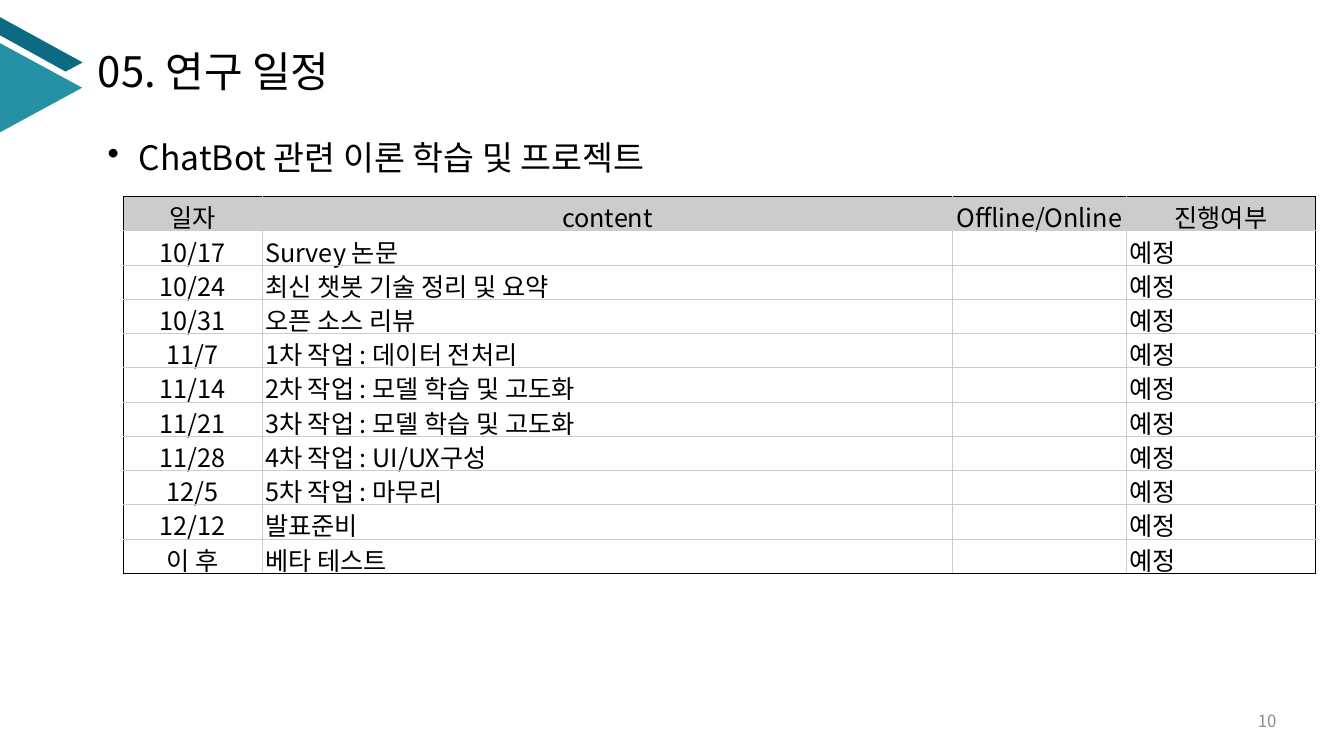
from lxml import etree
from pptx import Presentation
from pptx.dml.color import RGBColor
from pptx.enum.shapes import MSO_SHAPE
from pptx.enum.text import MSO_ANCHOR, PP_ALIGN
from pptx.oxml.ns import qn
from pptx.util import Inches, Pt

TRIANGLE = MSO_SHAPE.ISOSCELES_TRIANGLE
LEFT, CENTER, RIGHT = PP_ALIGN.LEFT, PP_ALIGN.CENTER, PP_ALIGN.RIGHT
TOP, MIDDLE, BOTTOM = MSO_ANCHOR.TOP, MSO_ANCHOR.MIDDLE, MSO_ANCHOR.BOTTOM

FONT = "Noto Sans CJK KR"
BLACK, GRID, PAGE_GRAY = "000000", "CCCCCC", "8C8C8C"
DARK_TEAL, TEAL = "0C6A83", "2691A5"

COLUMN_WIDTHS = [1.38, 6.85, 1.72, 1.88]
ROW_HEIGHT = 0.34
HEADER = ["일자", "content", "Offline/Online", "진행여부"]
STATUS = "예정"
SCHEDULE = [
    ("10/17", "Survey 논문"),
    ("10/24", "최신 챗봇 기술 정리 및 요약"),
    ("10/31", "오픈 소스 리뷰"),
    ("11/7", "1차 작업 : 데이터 전처리"),
    ("11/14", "2차 작업 : 모델 학습 및 고도화"),
    ("11/21", "3차 작업 : 모델 학습 및 고도화"),
    ("11/28", "4차 작업 : UI/UX구성"),
    ("12/5", "5차 작업 : 마무리"),
    ("12/12", "발표준비"),
    ("이 후", "베타 테스트"),
]


def rgb(color):
    return RGBColor.from_string(color)


def write(paragraph, text, size, color=BLACK, align=LEFT):
    paragraph.text = text
    paragraph.alignment = align
    paragraph.font.size = Pt(size)
    paragraph.font.name = FONT
    paragraph.font.color.rgb = rgb(color)
    # Hangul takes its typeface from the East Asian font
    properties = paragraph._p.get_or_add_pPr().find(qn("a:defRPr"))
    etree.SubElement(properties, qn("a:ea"), typeface=FONT)


def add_text(slide, box, text, size, color=BLACK, align=LEFT, anchor=TOP, inset=0.1):
    frame = slide.shapes.add_textbox(*map(Inches, box)).text_frame
    frame.word_wrap = True
    frame.vertical_anchor = anchor
    frame.margin_left = frame.margin_right = Inches(inset)
    paragraph = frame.paragraphs[0]
    write(paragraph, text, size, color, align)
    return paragraph


def add_bullet(paragraph, indent):
    properties = paragraph._p.get_or_add_pPr()
    properties.set("marL", str(Inches(indent)))
    properties.set("indent", str(-Inches(indent)))
    bullet = etree.Element(qn("a:buChar"), char="•")
    properties.insert(0, bullet)


def paint(shape, color):
    shape.shadow.inherit = False
    shape.fill.solid()
    shape.fill.fore_color.rgb = rgb(color)
    shape.line.fill.background()


def add_corner_mark(slide):
    points = [(Inches(x), Inches(y))
              for x, y in [(0, 0.17), (0.82, 0.62), (0.65, 0.71), (0, 0.35)]]
    builder = slide.shapes.build_freeform(*points[0])
    builder.add_line_segments(points[1:], close=True)
    paint(builder.convert_to_shape(), DARK_TEAL)

    triangle = slide.shapes.add_shape(
        TRIANGLE, Inches(-0.04), Inches(0.46), Inches(0.89), Inches(0.82))
    triangle.rotation = 90
    paint(triangle, TEAL)


def set_borders(cell, colors):
    properties = cell._tc.get_or_add_tcPr()
    for position, (side, color) in enumerate(colors.items()):
        line = etree.Element(qn(f"a:ln{side}"), w=str(Pt(0.75)))
        fill = etree.SubElement(line, qn("a:solidFill"))
        etree.SubElement(fill, qn("a:srgbClr"), val=color)
        properties.insert(position, line)


def add_schedule(slide, left, top):
    rows = [HEADER] + [[date, content, "", STATUS] for date, content in SCHEDULE]
    last_row, last_column = len(rows) - 1, len(HEADER) - 1
    table = slide.shapes.add_table(
        len(rows), len(HEADER), Inches(left), Inches(top),
        Inches(sum(COLUMN_WIDTHS)), Inches(ROW_HEIGHT * len(rows))).table
    table.first_row = table.horz_banding = False
    for column, width in zip(table.columns, COLUMN_WIDTHS):
        column.width = Inches(width)

    for r, row in enumerate(rows):
        table.rows[r].height = Inches(ROW_HEIGHT)
        for c, text in enumerate(row):
            cell = table.cell(r, c)
            cell.vertical_anchor = BOTTOM
            cell.margin_left = cell.margin_right = Inches(0.03)
            cell.margin_top = cell.margin_bottom = Inches(0.02)
            align = CENTER if r == 0 or c == 0 else LEFT
            write(cell.text_frame.paragraphs[0], text, 18, align=align)
            if r == 0:
                cell.fill.solid()
                cell.fill.fore_color.rgb = rgb(GRID)
            else:
                cell.fill.background()
            # Black outer frame, gray inner grid
            set_borders(cell, {
                "L": BLACK if c == 0 else GRID,
                "R": BLACK if c == last_column else GRID,
                "T": BLACK if r == 0 else GRID,
                "B": BLACK if r == last_row else GRID,
            })


def main():
    presentation = Presentation()
    presentation.slide_width = Inches(13.33)
    presentation.slide_height = Inches(7.5)
    slide = presentation.slides.add_slide(presentation.slide_layouts[6])

    # Title and corner mark
    add_text(slide, (0.97, 0.4, 4.24, 0.61), "05. 연구 일정", 30, inset=0)
    add_corner_mark(slide)

    # Page number
    add_text(slide, (9.76, 6.95, 3, 0.4), "10", 12, PAGE_GRAY, RIGHT, MIDDLE)

    # Topic and schedule
    topic = add_text(slide, (0.97, 1.31, 9.98, 0.5),
                     "ChatBot 관련 이론 학습 및 프로젝트", 24)
    add_bullet(topic, 0.31)
    add_schedule(slide, 1.22, 1.95)

    presentation.save("out.pptx")


if __name__ == "__main__":
    main()
